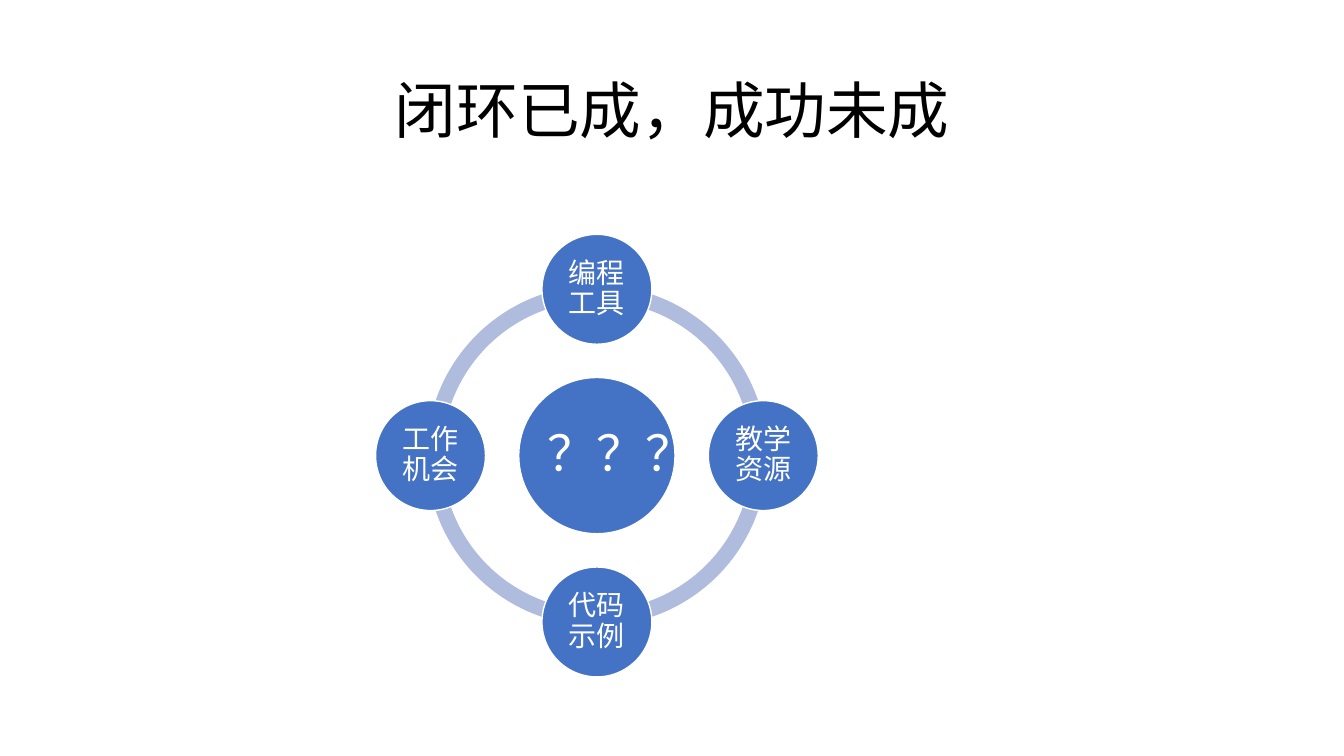
import math

from lxml import etree
from pptx import Presentation
from pptx.dml.color import RGBColor
from pptx.enum.shapes import MSO_SHAPE
from pptx.enum.text import MSO_ANCHOR, MSO_AUTO_SIZE, PP_ALIGN
from pptx.oxml.ns import qn
from pptx.util import Inches, Pt

ARC, OVAL = MSO_SHAPE.BLOCK_ARC, MSO_SHAPE.OVAL
MIDDLE, CENTER, NO_FIT = MSO_ANCHOR.MIDDLE, PP_ALIGN.CENTER, MSO_AUTO_SIZE.NONE

FONT = "Noto Sans CJK SC"
COLORS = {"title": "000000", "ring": "B0BCDE", "node": "4472C4", "white": "FFFFFF"}

# Geometry in inches
CENTER_X, CENTER_Y = 5.92, 4.52
ORBIT = 1.65
RING_SIZE, HUB_SIZE, NODE_SIZE = 3.38, 1.55, 1.09
QUARTER = 54  # 90 degrees in block arc adjustment units
RING_WIDTH = 0.046

NODES = ["编程工具", "教学资源", "代码示例", "工作机会"]  # clockwise from the top


def rgb(name):
    return RGBColor.from_string(COLORS[name])


def write_text(sp, text, size, color, margin):
    tf = sp.text_frame
    frame_format = {"word_wrap": True, "auto_size": NO_FIT, "vertical_anchor": MIDDLE}
    for side in ("left", "top", "right", "bottom"):
        frame_format[f"margin_{side}"] = Inches(margin)
    for name, value in frame_format.items():
        setattr(tf, name, value)
    p = tf.paragraphs[0]
    p.alignment = CENTER
    p.line_spacing = 0.9
    r = p.add_run()
    r.text = text
    for name, value in {"name": FONT, "size": Pt(size), "bold": False}.items():
        setattr(r.font, name, value)
    r.font.color.rgb = rgb(color)
    # East Asian typeface
    etree.SubElement(r.font._element, qn("a:ea"), typeface=FONT)


def add_centered(s, kind, x, y, size, fill):
    sp = s.shapes.add_shape(kind, Inches(x - size / 2), Inches(y - size / 2),
                            Inches(size), Inches(size))
    sp.shadow.inherit = False
    sp.fill.solid()
    sp.fill.fore_color.rgb = rgb(fill)
    return sp


def add_arc(s, start):
    sp = add_centered(s, ARC, CENTER_X, CENTER_Y, RING_SIZE, "ring")
    sp.line.fill.background()
    end = (start + QUARTER) % (4 * QUARTER)
    for i, value in enumerate((start, end, RING_WIDTH)):
        sp.adjustments[i] = value


def add_circle(s, x, y, size, text, text_size, margin):
    sp = add_centered(s, OVAL, x, y, size, "node")
    sp.line.color.rgb = rgb("white")
    sp.line.width = Pt(1)
    write_text(sp, text, text_size, "white", margin)


def add_title(s, text):
    sp = s.shapes.title
    box = {"left": 0.92, "top": 0.4, "width": 11.5, "height": 1.45}
    for name, value in box.items():
        setattr(sp, name, Inches(value))
    write_text(sp, text, 44, "title", 0.05)


def main():
    prs = Presentation()
    prs.slide_width, prs.slide_height = Inches(13.33), Inches(7.5)
    s = prs.slides.add_slide(prs.slide_layouts[5])
    add_title(s, "闭环已成，成功未成")

    # Ring
    for i in range(len(NODES)):
        add_arc(s, i * QUARTER)

    # Hub and the nodes around it
    add_circle(s, CENTER_X, CENTER_Y, HUB_SIZE, "？？？", 35, 0.05)
    for i, text in enumerate(NODES):
        angle = 2 * math.pi * i / len(NODES)
        x = CENTER_X + ORBIT * math.sin(angle)
        y = CENTER_Y - ORBIT * math.cos(angle)
        add_circle(s, x, y, NODE_SIZE, text, 20, 0.03)

    prs.save("out.pptx")


if __name__ == "__main__":
    main()
